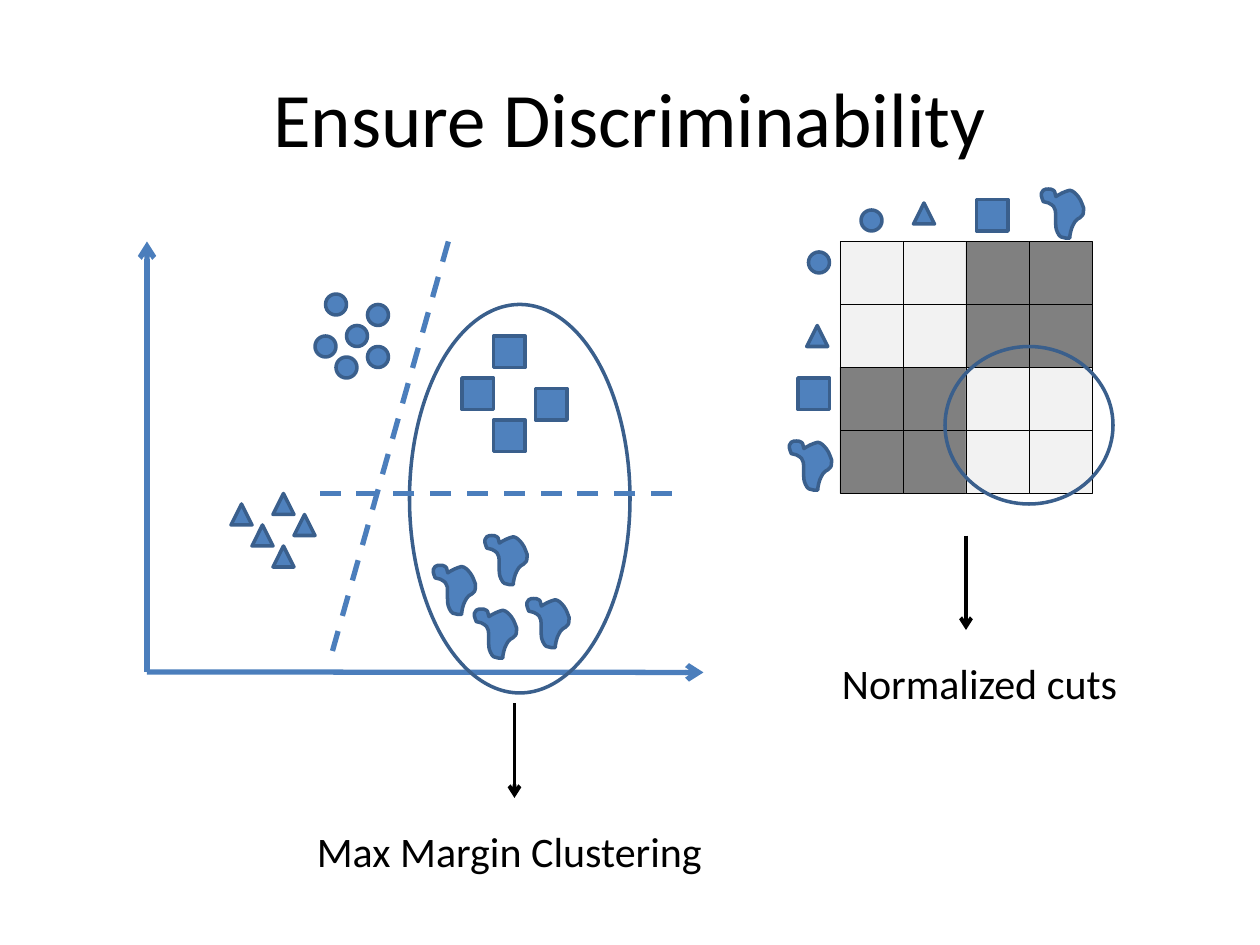
from lxml.etree import SubElement
from pptx import Presentation
from pptx.dml.color import RGBColor
from pptx.enum.dml import MSO_LINE
from pptx.enum.shapes import MSO_CONNECTOR, MSO_SHAPE
from pptx.enum.text import MSO_ANCHOR, PP_ALIGN
from pptx.oxml.ns import qn
from pptx.util import Pt

BLUE = RGBColor(0x4F, 0x81, 0xBD)
EDGE = RGBColor(0x3A, 0x5F, 0x8C)
AXIS = RGBColor(0x4B, 0x7E, 0xBC)
BLACK = RGBColor(0x00, 0x00, 0x00)
LIGHT = RGBColor(0xF2, 0xF2, 0xF2)
DARK = RGBColor(0x80, 0x80, 0x80)

MARKERS = {
    "circle": (MSO_SHAPE.OVAL, 12),
    "square": (MSO_SHAPE.RECTANGLE, 18),
    "triangle": (MSO_SHAPE.ISOSCELES_TRIANGLE, 12),
}
CLUSTERS = {
    "circle": [(180, 192), (192, 204), (210, 198), (186, 168), (198, 186), (210, 174)],
    "square": [(264, 216), (282, 192), (306, 222), (282, 240)],
    "triangle": [(132, 288), (144, 300), (156, 312), (156, 282), (168, 294)],
    "blob": [(246.5, 323), (276, 306), (270, 348), (300, 342)],
}
MATRIX_LABELS = {
    "circle": [(492, 120), (462, 144)],
    "square": [(558, 114), (456, 216)],
    "blob": [(594, 108), (450, 252)],
    "triangle": [(461, 186), (522, 116)],
}
BLOB_WIDTH, BLOB_HEIGHT, BLOB_UNIT = 35, 39, 0.72
BLOB_START = (13, 6)
BLOB_CURVES = [
    ((16, 4), (20, 2), (24, 1)),
    ((25, 1), (27, 2), (28, 3)),
    ((33, 8), (33, 10), (35, 15)),
    ((35, 17), (35, 20), (34, 21)),
    ((33, 23), (31, 23), (30, 24)),
    ((28, 25), (28, 27), (27, 28)),
    ((25, 31), (24, 37), (24, 39)),
    ((22, 39), (19, 39), (17, 38)),
    ((15, 37), (13, 32), (13, 30)),
    ((12, 17), (15, 15), (7, 11)),
    ((6, 11), (4, 10), (3, 10)),
    ((2, 7), (0, 4), (3, 1)),
    ((4, 0), (6, 0), (7, 0)),
    ((8, 0), (10, 0), (11, 1)),
    ((13, 2), (12, 5), (13, 6)),
]
MATRIX_LEFT, MATRIX_TOP, CELL, MATRIX_SIZE = 480, 138, 36, 4

prs = Presentation()
prs.slide_width, prs.slide_height = Pt(720), Pt(540)
s = prs.slides.add_slide(prs.slide_layouts[6])


def add_text(text, left, top, width, height, size=24, align=PP_ALIGN.LEFT,
             anchor=MSO_ANCHOR.TOP):
    tf = s.shapes.add_textbox(Pt(left), Pt(top), Pt(width), Pt(height)).text_frame
    tf.word_wrap = True
    tf.vertical_anchor = anchor
    p = tf.paragraphs[0]
    p.alignment = align
    r = p.add_run()
    r.text = text
    r.font.name = "Calibri"
    r.font.size = Pt(size)
    r.font.color.rgb = BLACK


def paint(sp, fill=BLUE, line=EDGE, weight=2):
    sp.shadow.inherit = False
    if fill is None:
        sp.fill.background()
    else:
        sp.fill.solid()
        sp.fill.fore_color.rgb = fill
    sp.line.color.rgb = line
    sp.line.width = Pt(weight)


def add_shape(shapes, kind, left, top, width, height, **style):
    sp = shapes.add_shape(kind, Pt(left), Pt(top), Pt(width), Pt(height))
    paint(sp, **style)


def add_line(shapes, x1, y1, x2, y2, color=AXIS, weight=3, dash=False, arrow=False):
    sp = shapes.add_connector(MSO_CONNECTOR.STRAIGHT, Pt(x1), Pt(y1), Pt(x2), Pt(y2))
    sp.line.color.rgb = color
    sp.line.width = Pt(weight)
    if dash:
        sp.line.dash_style = MSO_LINE.DASH
    if arrow:
        SubElement(sp.line._get_or_add_ln(), qn("a:tailEnd"), type="arrow")
    SubElement(sp._element.spPr, qn("a:effectLst"))


def add_segment(outline, tag, points=()):
    segment = SubElement(outline, qn(tag))
    for x, y in points:
        SubElement(segment, qn("a:pt"), x=str(x), y=str(y))


def add_blob(shapes, left, top):
    builder = shapes.build_freeform(0, 0, scale=Pt(BLOB_UNIT))
    builder.add_line_segments([(BLOB_WIDTH, 0), (BLOB_WIDTH, BLOB_HEIGHT)])
    sp = builder.convert_to_shape(Pt(left), Pt(top))
    outline = next(sp._element.iter(qn("a:path")))
    for segment in list(outline):
        outline.remove(segment)
    add_segment(outline, "a:moveTo", [BLOB_START])
    for curve in BLOB_CURVES:
        add_segment(outline, "a:cubicBezTo", curve)
    add_segment(outline, "a:close")
    paint(sp)


def add_markers(shapes, groups):
    for name, spots in groups.items():
        for left, top in spots:
            if name == "blob":
                add_blob(shapes, left, top)
            else:
                kind, size = MARKERS[name]
                add_shape(shapes, kind, left, top, size, size)


add_text("Ensure Discriminability", 36, 21.6, 648, 90, size=44,
         align=PP_ALIGN.CENTER, anchor=MSO_ANCHOR.MIDDLE)

axes = s.shapes.add_group_shape().shapes
add_line(axes, 84, 384, 402, 384.25, arrow=True)
add_line(axes, 84, 384, 84, 138, arrow=True)
add_markers(s.shapes.add_group_shape().shapes, CLUSTERS)
add_line(s.shapes, 256.2, 138, 190, 372, dash=True)

add_line(s.shapes, 552, 306, 552, 360, color=BLACK, weight=2.25, arrow=True)
add_text("Normalized cuts", 474, 372, 192, 36)
add_shape(s.shapes, MSO_SHAPE.OVAL, 234, 174, 126, 222, fill=None)
add_line(s.shapes, 294, 402, 294, 456, color=BLACK, weight=2.25, arrow=True)
add_text("Max Margin Clustering", 174, 468, 246, 36)
add_line(s.shapes, 384, 282, 180, 282, dash=True)

matrix = s.shapes.add_group_shape().shapes
half = MATRIX_SIZE // 2
for row in range(MATRIX_SIZE):
    for col in range(MATRIX_SIZE):
        same_block = row // half == col // half
        add_shape(matrix, MSO_SHAPE.RECTANGLE, MATRIX_LEFT + col * CELL,
                  MATRIX_TOP + row * CELL, CELL, CELL,
                  fill=LIGHT if same_block else DARK, line=BLACK, weight=0.25)
add_markers(matrix, MATRIX_LABELS)
add_shape(s.shapes, MSO_SHAPE.OVAL, 540, 198, 96, 90, fill=None)

prs.save("out.pptx")
